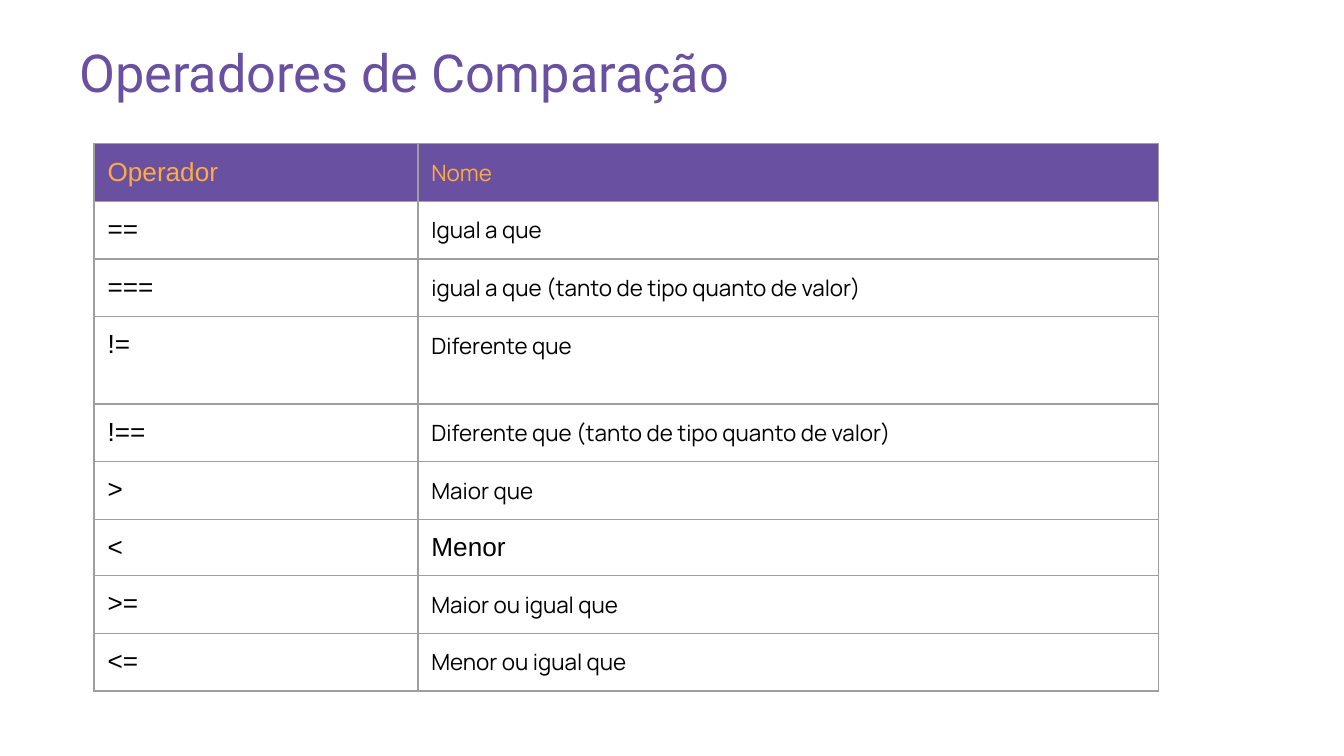
from lxml.etree import SubElement
from pptx import Presentation
from pptx.dml.color import RGBColor as RGB
from pptx.enum.text import MSO_ANCHOR as Anchor, PP_ALIGN as Align
from pptx.oxml import parse_xml
from pptx.oxml.ns import nsdecls, qn
from pptx.util import Inches, Pt

TITLE = "Operadores de Comparação"
ROWS = [
    ("Operador", "Nome"),
    ("==", "Igual a que"),
    ("===", "igual a que (tanto de tipo quanto de valor)"),
    ("!=", "Diferente que"),
    ("!==", "Diferente que (tanto de tipo quanto de valor)"),
    (">", "Maior que"),
    ("<", "Menor"),
    (">=", "Maior ou igual que"),
    ("<=", "Menor ou igual que"),
]
HEAD = 0
TALL = 3
PLAIN = "Menor"
WIDTHS = [2.41, 5.51]
HIGH, EXTRA = 0.42, 0.23
COLORS = {"purple": "6950A1", "orange": "FFAB40", "black": "000000", "gray": "9E9E9E"}
FONTS = [("Arial", 14), ("Manrope", 12)]


def write(frame, text, font, size, color):
    para = frame.paragraphs[0]
    para.alignment = Align.LEFT
    run = para.add_run()
    run.text = text
    run.font.name = font
    run.font.size = Pt(size)
    run.font.bold = False
    run.font.color.rgb = RGB.from_string(COLORS[color])


def pad(box):
    box.margin_left = box.margin_right = Inches(0.1)
    box.margin_top = box.margin_bottom = Inches(0.1)
    box.vertical_anchor = Anchor.TOP


def border(cell):
    props = cell._tc.get_or_add_tcPr()
    for spot, side in enumerate("LRTB"):
        line = parse_xml(f'<a:ln{side} {nsdecls("a")} w="{Pt(0.75)}"/>')
        fill = SubElement(line, qn("a:solidFill"))
        SubElement(fill, qn("a:srgbClr"), val=COLORS["gray"])
        props.insert(spot, line)


def add_title(slide):
    title = slide.shapes.title
    title.left, title.top = Inches(0.49), Inches(0.2)
    title.width, title.height = Inches(9.01), Inches(0.67)
    pad(title.text_frame)
    title.text_frame.word_wrap = True
    write(title.text_frame, TITLE, "Roboto", 28, "purple")


def add_grid(slide):
    high = HIGH * len(ROWS) + EXTRA
    grid = slide.shapes.add_table(
        len(ROWS), len(WIDTHS), Inches(0.7), Inches(1.07),
        Inches(sum(WIDTHS)), Inches(high)).table
    grid.first_row = grid.horz_banding = False
    for col, wide in zip(grid.columns, WIDTHS):
        col.width = Inches(wide)
    for r, row in enumerate(ROWS):
        grid.rows[r].height = Inches(HIGH + EXTRA * (r == TALL))
        for c, text in enumerate(row):
            cell = grid.cell(r, c)
            pad(cell)
            if r == HEAD:
                cell.fill.solid()
                cell.fill.fore_color.rgb = RGB.from_string(COLORS["purple"])
            else:
                cell.fill.background()
            border(cell)
            font, size = FONTS[0 if text == PLAIN else c]
            write(cell.text_frame, text, font, size, "orange" if r == HEAD else "black")


def main():
    deck = Presentation()
    deck.slide_width = Inches(10)
    deck.slide_height = deck.slide_width * 9 // 16
    slide = deck.slides.add_slide(deck.slide_layouts[5])
    add_grid(slide)
    add_title(slide)
    deck.save("out.pptx")


if __name__ == "__main__":
    main()
